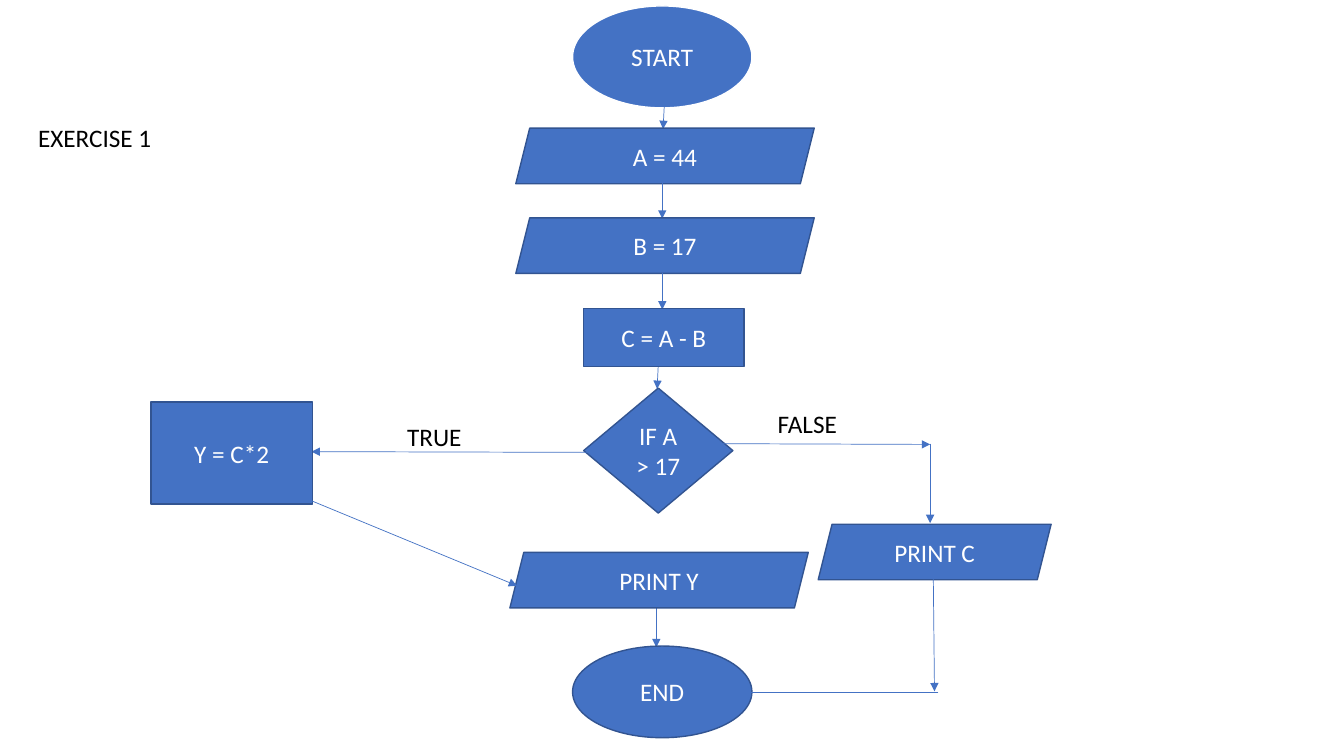
from dataclasses import dataclass

import pptx
import pptx.dml.color
import pptx.enum.shapes
import pptx.enum.text
import pptx.oxml.ns
import pptx.util
from lxml import etree

Cm, Pt = pptx.util.Cm, pptx.util.Pt
Rgb = pptx.dml.color.RGBColor.from_string
Kind = pptx.enum.shapes.MSO_SHAPE
Align = pptx.enum.text.PP_ALIGN
qn = pptx.oxml.ns.qn


@dataclass(frozen=True)
class Theme:
    font: str = "Calibri"
    size: int = 18
    fill: str = "4472C4"
    edge: str = "325491"
    light: str = "FFFFFF"
    dark: str = "000000"
    border: float = 1
    thin: float = 0.5


@dataclass(frozen=True)
class Node:
    kind: Kind
    text: str
    left: float
    top: float
    width: float
    height: float
    edge: str = Theme.edge


@dataclass(frozen=True)
class Arrow:
    x1: float
    y1: float
    x2: float
    y2: float


@dataclass(frozen=True)
class Label:
    text: str
    left: float
    top: float
    width: float = 2.31
    height: float = 1.02


theme = Theme()


def style(frame, text: str, color: str, align) -> None:
    frame.word_wrap = True
    frame.text = text
    para = frame.paragraphs[0]
    para.alignment = align
    para.font.name = theme.font
    para.font.size = Pt(theme.size)
    para.font.color.rgb = Rgb(color)


def add_node(slide, node: Node) -> None:
    shape = slide.shapes.add_shape(
        node.kind, Cm(node.left), Cm(node.top), Cm(node.width), Cm(node.height))
    shape.shadow.inherit = False
    shape.fill.solid()
    shape.fill.fore_color.rgb = Rgb(theme.fill)
    shape.line.color.rgb = Rgb(node.edge)
    shape.line.width = Pt(theme.border)
    shape.text_frame.vertical_anchor = pptx.enum.text.MSO_ANCHOR.MIDDLE
    style(shape.text_frame, node.text, theme.light, Align.CENTER)


def add_arrow(slide, arrow: Arrow) -> None:
    link = slide.shapes.add_connector(
        pptx.enum.shapes.MSO_CONNECTOR.STRAIGHT,
        Cm(arrow.x1), Cm(arrow.y1), Cm(arrow.x2), Cm(arrow.y2))
    link.line.color.rgb = Rgb(theme.fill)
    link.line.width = Pt(theme.thin)
    props = link._element.spPr
    etree.SubElement(props.find(qn("a:ln")), qn("a:tailEnd"), type="triangle")
    etree.SubElement(props, qn("a:effectLst"))


def add_label(slide, label: Label) -> None:
    box = slide.shapes.add_textbox(
        Cm(label.left), Cm(label.top), Cm(label.width), Cm(label.height))
    style(box.text_frame, label.text, theme.dark, Align.LEFT)
    box.text_frame.auto_size = pptx.enum.text.MSO_AUTO_SIZE.SHAPE_TO_FIT_TEXT


def data_node(text: str, left: float, top: float, width: float = 7.52) -> Node:
    return Node(Kind.PARALLELOGRAM, text, left, top, width, 1.4)


# Flow chart, from back to front
PARTS = [
    # Start and inputs
    Node(Kind.OVAL, "START", 14.43, 0.15, 4.52, 2.57, theme.light),
    Arrow(16.74, 2.69, 16.71, 3.25),
    data_node("A = 44", 13, 3.23),
    Arrow(16.69, 4.62, 16.69, 5.51),
    data_node("B = 17", 13, 5.49),
    # Decision and end
    Arrow(16.59, 9.17, 16.56, 9.8),
    Node(Kind.DIAMOND, "IF A > 17", 14.71, 9.78, 3.76, 3.15),
    Arrow(16.69, 6.88, 16.69, 7.8),
    Arrow(16.54, 15.09, 16.54, 16.31),
    Node(Kind.OVAL, "END", 14.43, 16.28, 4.52, 2.31),
    # False branch
    Arrow(18.11, 11.18, 23.44, 11.2),
    Arrow(23.44, 11.18, 23.44, 13.18),
    Arrow(23.65, 17.45, 18.72, 17.45),
    # Labels
    Label("TRUE", 10.01, 10.49),
    Label("FALSE", 19.35, 10.16),
    Label("EXERCISE 1", 0.71, 2.97, 11.96),
    # True branch and results
    data_node("PRINT Y", 12.85, 13.92),
    Arrow(15.21, 11.4, 7.85, 11.38),
    Node(Kind.RECTANGLE, "Y = C*2", 3.81, 10.13, 4.06, 2.57),
    Node(Kind.RECTANGLE, "C = A - B", 14.71, 7.77, 4.04, 1.47),
    data_node("PRINT C", 20.62, 13.21, 5.87),
    Arrow(23.52, 14.55, 23.55, 17.42),
    Arrow(6.45, 12.04, 13.03, 14.76),
]
DRAW = {Node: add_node, Arrow: add_arrow, Label: add_label}

deck = pptx.Presentation()
deck.slide_width, deck.slide_height = Cm(33.87), Cm(19.05)
slide = deck.slides.add_slide(deck.slide_layouts[6])
for part in PARTS:
    DRAW[type(part)](slide, part)
deck.save("out.pptx")
